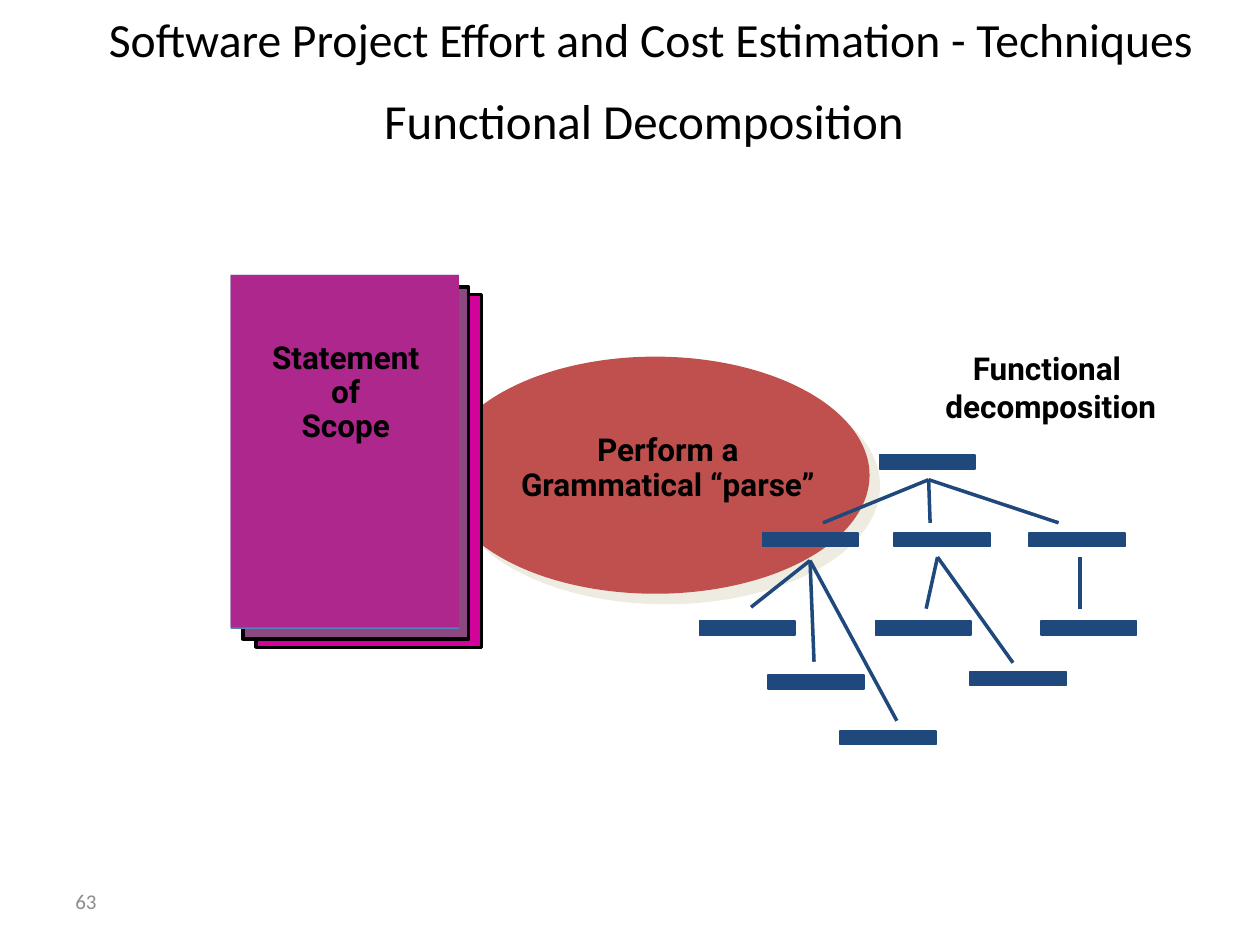
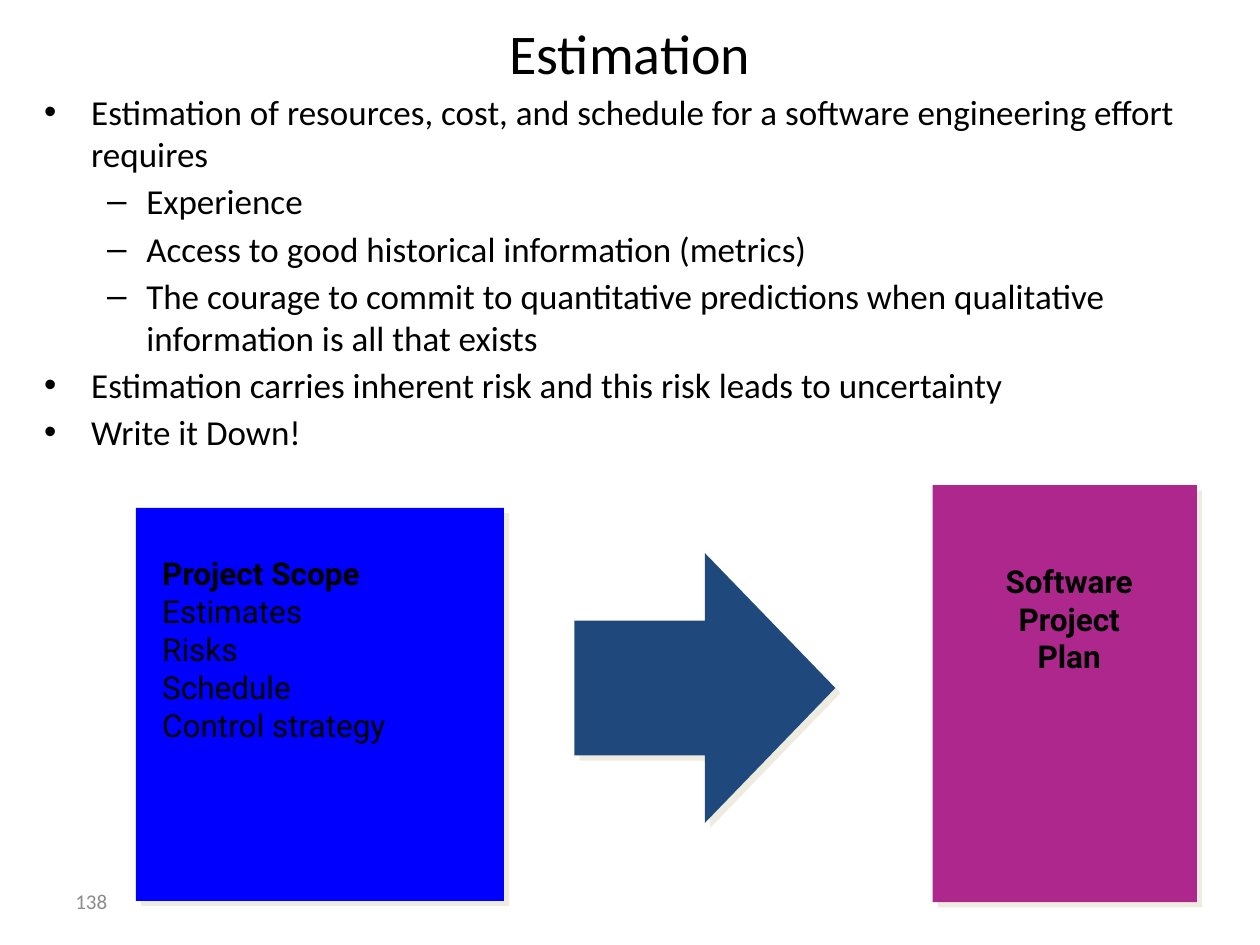
from dataclasses import dataclass, replace
from typing import Optional

import lxml.etree
import pptx
import pptx.dml.color
import pptx.enum.shapes
import pptx.enum.text
import pptx.oxml.ns
import pptx.shapes.autoshape
import pptx.slide
import pptx.util

Cm = pptx.util.Cm
Pt = pptx.util.Pt
RGBColor = pptx.dml.color.RGBColor
Shape = pptx.enum.shapes.MSO_SHAPE
Align = pptx.enum.text.PP_ALIGN
Anchor = pptx.enum.text.MSO_ANCHOR
AutoSize = pptx.enum.text.MSO_AUTO_SIZE
qn = pptx.oxml.ns.qn

BLACK = RGBColor(0x00, 0x00, 0x00)
GREY = RGBColor(0x8C, 0x8C, 0x8C)
NAVY = RGBColor(0x1F, 0x49, 0x7D)
STEEL = RGBColor(0x4F, 0x81, 0xBD)
RED = RGBColor(0xC0, 0x50, 0x4D)
BLUE = RGBColor(0x00, 0x00, 0xFF)
PURPLE = RGBColor(0xAD, 0x27, 0x8D)
PLUM = RGBColor(0x8C, 0x48, 0x81)
MAGENTA = RGBColor(0xD1, 0x03, 0x9B)
IVORY = RGBColor(0xEE, 0xEC, 0xE1)

BODY_FONT = "Calibri"
LABEL_FONT = "Roboto"
BAR_WIDTH, BAR_HEIGHT = 1.93, 0.28


@dataclass(frozen=True)
class Box:
    """A place on the slide, in centimetres."""
    left: float
    top: float
    width: float
    height: float


@dataclass(frozen=True)
class Block:
    """A filled shape; shadow is the shadow's distance in points."""
    box: Box
    fill: RGBColor
    kind: Shape = Shape.RECTANGLE
    line: Optional[RGBColor] = None
    line_width: float = 1
    shadow: float = 0


@dataclass(frozen=True)
class TextStyle:
    font: str
    size: float
    color: RGBColor = BLACK
    bold: bool = False
    align: Align = Align.LEFT
    anchor: Anchor = Anchor.TOP
    spacing: float = 1.0
    wrap: bool = True
    grow: bool = False


@dataclass(frozen=True)
class Bullet:
    mark: str
    margin: float
    hanging: float


@dataclass(frozen=True)
class Line:
    text: str
    bold: Optional[bool] = None
    bullet: Optional[Bullet] = None


@dataclass(frozen=True)
class Branch:
    """A fork of the tree: one (x, y) origin and the tips it reaches."""
    origin: tuple[float, float]
    tips: tuple[tuple[float, float], ...]


TITLE = TextStyle(BODY_FONT, 32, align=Align.CENTER, anchor=Anchor.MIDDLE)
BODY = TextStyle(BODY_FONT, 20)
NUMBER = TextStyle(BODY_FONT, 12, GREY, anchor=Anchor.MIDDLE)
LABEL = TextStyle(LABEL_FONT, 18, bold=True, align=Align.CENTER,
                  wrap=False, grow=True)
TIGHT_LABEL = replace(LABEL, spacing=0.9)
NUMBER_BOX = Box(1.27, 17.65, 5.92, 1.02)

DOT = Bullet("•", 0.95, 0.95)
DASH = Bullet("–", 2.06, 0.79)

SCOPE_SHEETS = (
    Block(Box(5.16, 5.94, 4.55, 7.14), STEEL),
    Block(Box(5.16, 5.94, 4.55, 7.11), MAGENTA, line=BLACK, line_width=2),
    Block(Box(4.9, 5.79, 4.55, 7.09), PLUM, line=BLACK, line_width=2),
    Block(Box(4.65, 5.54, 4.6, 7.14), STEEL),
    Block(Box(4.65, 5.54, 4.6, 7.11), PURPLE),
)

FUNCTION_BARS = (
    (17.73, 9.17),
    (15.37, 10.74), (18.03, 10.74), (20.75, 10.74),
    (14.1, 12.52), (15.49, 13.61), (16.94, 14.73),
    (17.65, 12.52), (19.56, 13.54), (20.98, 12.52),
)

BRANCHES = (
    Branch((18.72, 9.67), ((16.59, 10.54), (18.75, 10.54), (21.34, 10.54))),
    Branch((16.33, 11.3), ((15.14, 12.24), (16.41, 13.34), (18.08, 14.53))),
    Branch((18.9, 11.23), ((18.67, 12.27), (20.42, 13.36))),
    Branch((21.77, 11.23), ((21.77, 12.27),)),
)

ESTIMATION_POINTS = (
    Line("Estimation of resources, cost, and schedule for a software "
         "engineering effort requires", bullet=DOT),
    Line("Experience", bullet=DASH),
    Line("Access to good historical information (metrics)", bullet=DASH),
    Line("The courage to commit to quantitative predictions when qualitative "
         "information is all that exists", bullet=DASH),
    Line("Estimation carries inherent risk and this risk leads to uncertainty",
         bullet=DOT),
    Line("Write it Down!", bullet=DOT),
)


def place(box: Box) -> tuple[pptx.util.Length, ...]:
    return Cm(box.left), Cm(box.top), Cm(box.width), Cm(box.height)


def add_shadow(shape: pptx.shapes.autoshape.Shape, distance: float) -> None:
    """Cast a hard ivory shadow to the lower right."""
    effects = shape._element.spPr.find(qn("a:effectLst"))
    shadow = lxml.etree.SubElement(
        effects, qn("a:outerShdw"), blurRad="0", dist=str(Pt(distance)),
        dir="2700000", algn="ctr", rotWithShape="0")
    lxml.etree.SubElement(shadow, qn("a:srgbClr"), val=str(IVORY))


def add_block(slide: pptx.slide.Slide, block: Block) -> None:
    shape = slide.shapes.add_shape(block.kind, *place(block.box))
    shape.shadow.inherit = False
    shape.fill.solid()
    shape.fill.fore_color.rgb = block.fill
    if block.line is None:
        shape.line.fill.background()
    else:
        shape.line.color.rgb = block.line
        shape.line.width = Pt(block.line_width)
    if block.shadow:
        add_shadow(shape, block.shadow)


def add_bullet(paragraph, bullet: Bullet) -> None:
    paragraph.space_before = Pt(3)
    properties = paragraph._p.get_or_add_pPr()
    properties.set("marL", str(Cm(bullet.margin)))
    properties.set("indent", str(-Cm(bullet.hanging)))
    lxml.etree.SubElement(properties, qn("a:buFont"), typeface="Arial")
    lxml.etree.SubElement(properties, qn("a:buChar"), char=bullet.mark)


def add_text(slide: pptx.slide.Slide, box: Box, style: TextStyle,
             *lines: Line) -> None:
    frame = slide.shapes.add_textbox(*place(box)).text_frame
    frame.word_wrap = style.wrap
    frame.auto_size = (AutoSize.SHAPE_TO_FIT_TEXT if style.grow
                       else AutoSize.NONE)
    frame.vertical_anchor = style.anchor
    for index, line in enumerate(lines):
        paragraph = frame.add_paragraph() if index else frame.paragraphs[0]
        paragraph.alignment = style.align
        paragraph.line_spacing = style.spacing
        if line.bullet:
            add_bullet(paragraph, line.bullet)
        run = paragraph.add_run()
        run.text = line.text
        run.font.name = style.font
        run.font.size = Pt(style.size)
        run.font.bold = style.bold if line.bold is None else line.bold
        run.font.color.rgb = style.color


def add_branch(slide: pptx.slide.Slide, branch: Branch) -> None:
    start = [Cm(value) for value in branch.origin]
    for tip in branch.tips:
        end = [Cm(value) for value in tip]
        twig = slide.shapes.add_connector(
            pptx.enum.shapes.MSO_CONNECTOR.STRAIGHT, *start, *end)
        twig.line.color.rgb = NAVY
        twig.line.width = Pt(2)
        lxml.etree.SubElement(twig._element.spPr, qn("a:effectLst"))


def add_numbered_slide(deck, number: int) -> pptx.slide.Slide:
    slide = deck.slides.add_slide(deck.slide_layouts[6])
    add_text(slide, NUMBER_BOX, NUMBER, Line(str(number)))
    return slide


def build_decomposition(deck) -> None:
    slide = add_numbered_slide(deck, 63)
    add_block(slide, Block(Box(8.89, 7.19, 8.64, 4.78), RED, Shape.OVAL,
                           shadow=8.5))
    add_text(slide, Box(3.38, 1.7, 19.2, 1.42), replace(TITLE, size=28),
             Line("Functional Decomposition"))
    for sheet in SCOPE_SHEETS:
        add_block(slide, sheet)
    for left, top in FUNCTION_BARS:
        add_block(slide, Block(Box(left, top, BAR_WIDTH, BAR_HEIGHT), NAVY,
                               line=NAVY))
    for branch in BRANCHES:
        add_branch(slide, branch)
    add_text(slide, Box(18.67, 6.91, 5.03, 1.78), LABEL,
             Line("Functional "), Line("decomposition"))
    add_text(slide, Box(5.18, 6.78, 3.58, 2.31), TIGHT_LABEL,
             Line("Statement"), Line("of"), Line("Scope"))
    add_text(slide, Box(9.96, 8.64, 7.01, 1.63),
             replace(TIGHT_LABEL, wrap=True),
             Line("Perform a Grammatical “parse”"))
    add_text(slide, Box(1.7, 0, 22.86, 1.7),
             replace(TITLE, size=27.2, spacing=0.9),
             Line("Software Project Effort and Cost Estimation - Techniques"))


def build_estimation(deck) -> None:
    slide = add_numbered_slide(deck, 138)
    add_text(slide, Box(1.27, 0, 22.86, 2.11), TITLE, Line("Estimation"))
    add_text(slide, Box(0.64, 1.7, 24.13, 16.71), BODY, *ESTIMATION_POINTS)
    add_block(slide, Block(Box(18.8, 9.78, 5.33, 8.41), PURPLE, shadow=4.2))
    add_text(slide, Box(19.51, 11.2, 4.09, 3.3), LABEL,
             Line("Software"), Line("Project"), Line("Plan"))
    add_block(slide, Block(Box(2.74, 10.24, 7.42, 7.92), BLUE, shadow=4.2))
    add_text(slide, Box(3.02, 11.05, 5.03, 4.09),
             replace(LABEL, bold=False, align=Align.LEFT),
             Line("Project Scope", bold=True), Line("Estimates"),
             Line("Risks"), Line("Schedule"), Line("Control strategy"))
    add_block(slide, Block(Box(11.58, 11.15, 5.26, 5.44), NAVY,
                           Shape.RIGHT_ARROW, shadow=4.2))


def main() -> None:
    deck = pptx.Presentation()
    deck.slide_width, deck.slide_height = Cm(25.4), Cm(19.05)
    build_decomposition(deck)
    build_estimation(deck)
    deck.save("out.pptx")


if __name__ == "__main__":
    main()
